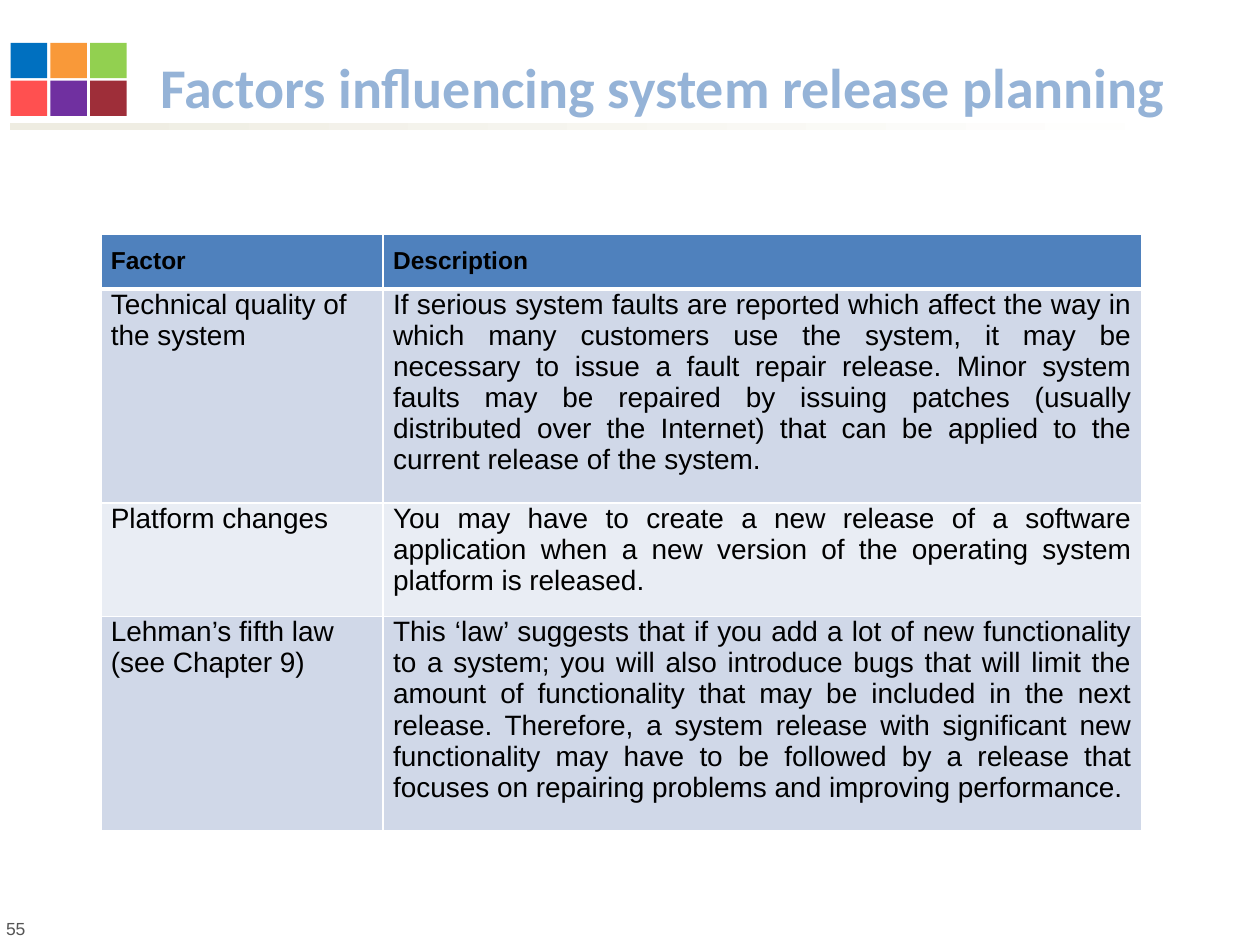
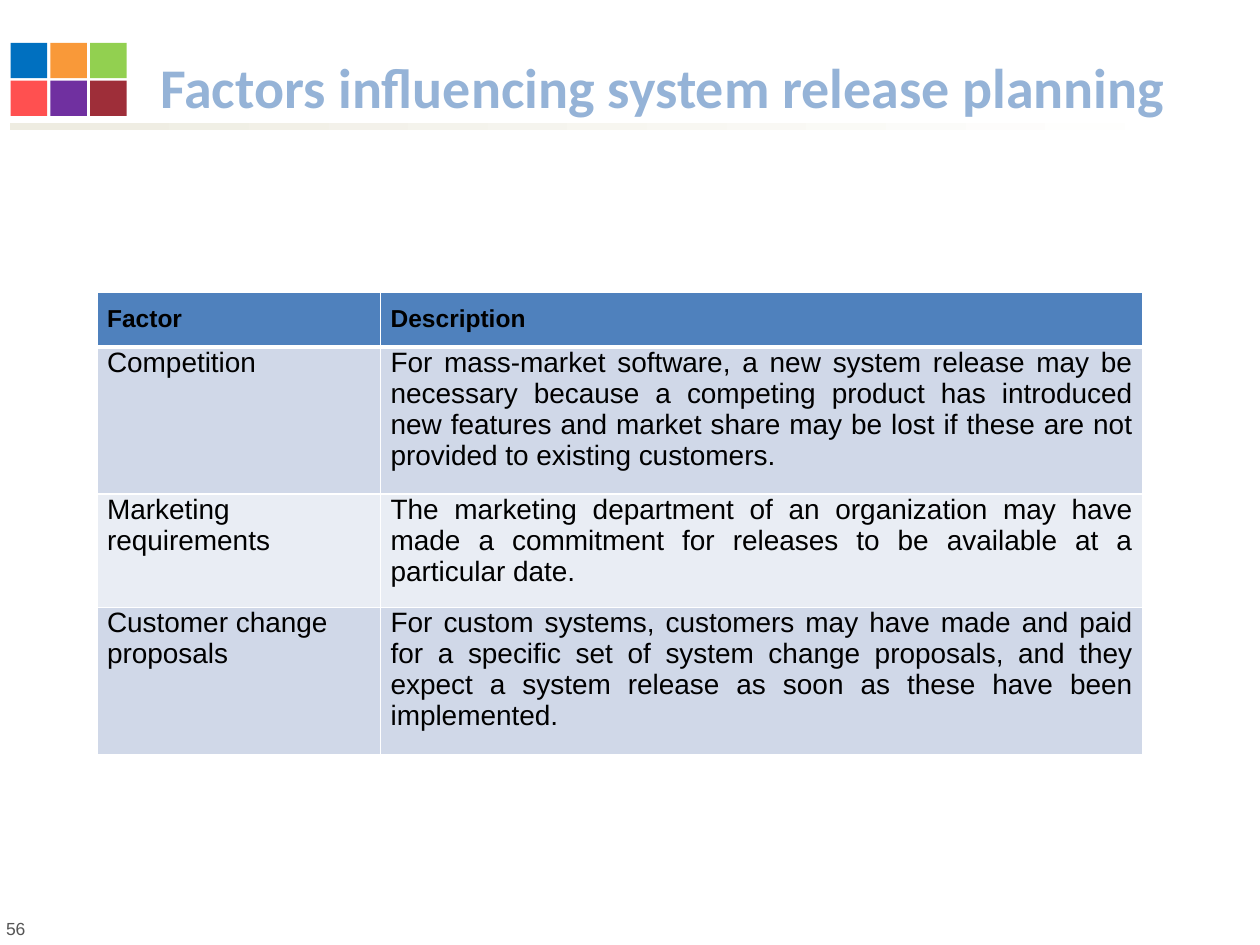
from dataclasses import dataclass

import pptx
import pptx.dml.color
import pptx.enum.dml
import pptx.enum.shapes
import pptx.enum.text
import pptx.oxml
import pptx.oxml.ns
import pptx.util
from pptx.util import Inches

ALIGN = pptx.enum.text.PP_ALIGN
ANCHOR = pptx.enum.text.MSO_ANCHOR
AUTO_SIZE = pptx.enum.text.MSO_AUTO_SIZE


@dataclass(frozen=True)
class Theme:
    title_font: str = "Calibri"
    body_font: str = "Arial"
    title_size: int = 32
    body_size: int = 16
    header_size: int = 14
    number_size: int = 10
    title: str = "95B3D7"
    text: str = "000000"
    number: str = "555555"
    header: str = "4F81BD"
    bands: tuple = ("D0D8E8", "E9EDF4")
    border: str = "FFFFFF"
    rule: tuple = ("EEECE1", "FFFFFF")
    mosaic: tuple = (("0070C0", "F99939", "92D050"), ("FF5050", "7030A0", "9E2E39"))


THEME = Theme()
TITLE = "Factors influencing system release planning"
HEADINGS = ("Factor", "Description")
HEADER_HEIGHT = 0.41

SLIDES = [
    {
        "number": 55,
        "left": 0.8,
        "top": 1.86,
        "widths": (2.24, 6.02),
        "factors": [
            (
                1.58,
                "Technical quality of the system",
                "If serious system faults are reported which affect the way in which many "
                "customers use the system, it may be necessary to issue a fault repair release. "
                "Minor system faults may be repaired by issuing patches (usually distributed over "
                "the Internet) that can be applied to the current release of the system.",
            ),
            (
                0.84,
                "Platform changes",
                "You may have to create a new release of a software application when a new "
                "version of the operating system platform is released.",
            ),
            (
                1.58,
                "Lehman’s fifth law (see Chapter 9)",
                "This ‘law’ suggests that if you add a lot of new functionality to a system; you "
                "will also introduce bugs that will limit the amount of functionality that may be "
                "included in the next release. Therefore, a system release with significant new "
                "functionality may have to be followed by a release that focuses on repairing "
                "problems and improving performance.",
            ),
        ],
    },
    {
        "number": 56,
        "left": 0.77,
        "top": 2.32,
        "widths": (2.25, 6.05),
        "factors": [
            (
                1.09,
                "Competition",
                "For mass-market software, a new system release may be necessary because a "
                "competing product has introduced new features and market share may be lost if "
                "these are not provided to existing customers.",
            ),
            (
                0.84,
                "Marketing requirements",
                "The marketing department of an organization may have made a commitment for "
                "releases to be available at a particular date.",
            ),
            (
                1.09,
                "Customer change proposals",
                "For custom systems, customers may have made and paid for a specific set of "
                "system change proposals, and they expect a system release as soon as these have "
                "been implemented.",
            ),
        ],
    },
]


def rgb(value):
    return pptx.dml.color.RGBColor.from_string(value)


def write(frame, text, *, size, font=THEME.body_font, color=THEME.text, bold=False,
          align=ALIGN.LEFT):
    paragraph = frame.paragraphs[0]
    paragraph.alignment = align
    run = paragraph.add_run()
    run.text = text
    run.font.name = font
    run.font.size = pptx.util.Pt(size)
    run.font.bold = bold
    run.font.color.rgb = rgb(color)


def add_block(slide, left, top, width, height):
    block = slide.shapes.add_shape(
        pptx.enum.shapes.MSO_SHAPE.RECTANGLE,
        Inches(left), Inches(top), Inches(width), Inches(height))
    block.shadow.inherit = False
    block.line.fill.background()
    return block


def add_rule(slide):
    rule = add_block(slide, 0.08, 0.98, 9.48, 0.05)
    rule.fill.gradient()
    rule.fill.gradient_angle = 0
    for stop, color in zip(rule.fill.gradient_stops, THEME.rule):
        stop.color.rgb = rgb(color)


def add_mosaic(slide):
    for row, colors in enumerate(THEME.mosaic):
        for column, color in enumerate(colors):
            tile = add_block(slide, 0.085 + 0.315 * column, 0.34 + 0.3 * row, 0.29, 0.28)
            tile.fill.solid()
            tile.fill.fore_color.rgb = rgb(color)


def add_number(slide, number):
    box = slide.shapes.add_textbox(Inches(-0.05), Inches(7.24), Inches(5.8), Inches(0.27))
    box.text_frame.word_wrap = True
    box.text_frame.auto_size = AUTO_SIZE.SHAPE_TO_FIT_TEXT
    write(box.text_frame, str(number), size=THEME.number_size, color=THEME.number)


def set_title(slide, text):
    title = slide.shapes.title
    title.left, title.top = Inches(1.17), Inches(0.32)
    title.width, title.height = Inches(8.67), Inches(0.68)
    title.text_frame.auto_size = AUTO_SIZE.NONE
    title.text_frame.vertical_anchor = ANCHOR.BOTTOM
    write(title.text_frame, text, size=THEME.title_size, font=THEME.title_font,
          color=THEME.title, bold=True)


def set_borders(cell, top=1, bottom=1):
    properties = cell._tc.get_or_add_tcPr()
    for side, width in (("L", 1), ("R", 1), ("T", top), ("B", bottom)):
        properties.append(pptx.oxml.parse_xml(
            f'<a:ln{side} {pptx.oxml.ns.nsdecls("a")} w="{pptx.util.Pt(width)}">'
            f'<a:solidFill><a:srgbClr val="{THEME.border}"/></a:solidFill></a:ln{side}>'))


def fill_cell(cell, text, fill, *, inset_top=0, top=1, bottom=1, **text_format):
    set_borders(cell, top, bottom)
    cell.fill.solid()
    cell.fill.fore_color.rgb = rgb(fill)
    cell.margin_left = cell.margin_right = Inches(0.08)
    cell.margin_top, cell.margin_bottom = Inches(inset_top), Inches(0.1)
    cell.vertical_anchor = ANCHOR.TOP
    write(cell.text_frame, text, **text_format)


def add_factor_table(slide, left, top, widths, factors):
    heights = [HEADER_HEIGHT] + [height for height, _, _ in factors]
    table = slide.shapes.add_table(
        len(heights), len(widths), Inches(left), Inches(top),
        Inches(sum(widths)), Inches(sum(heights))).table
    for column, width in zip(table.columns, widths):
        column.width = Inches(width)
    for row, height in zip(table.rows, heights):
        row.height = Inches(height)
    for column, heading in enumerate(HEADINGS):
        fill_cell(table.cell(0, column), heading, THEME.header, inset_top=0.1, bottom=3,
                  size=THEME.header_size, bold=True, align=ALIGN.JUSTIFY)
    for row, (_, factor, description) in enumerate(factors, 1):
        fill = THEME.bands[(row - 1) % 2]
        top_border = 3 if row == 1 else 1
        for column, (text, align) in enumerate(
                ((factor, ALIGN.LEFT), (description, ALIGN.JUSTIFY))):
            fill_cell(table.cell(row, column), text, fill, top=top_border,
                      size=THEME.body_size, align=align)


def main():
    deck = pptx.Presentation()
    deck.slide_width, deck.slide_height = Inches(10), Inches(7.5)
    for content in SLIDES:
        slide = deck.slides.add_slide(deck.slide_layouts.get_by_name("Title Only"))
        add_rule(slide)
        add_number(slide, content["number"])
        add_mosaic(slide)
        set_title(slide, TITLE)
        add_factor_table(slide, content["left"], content["top"], content["widths"],
                         content["factors"])
    deck.save("out.pptx")


if __name__ == "__main__":
    main()
